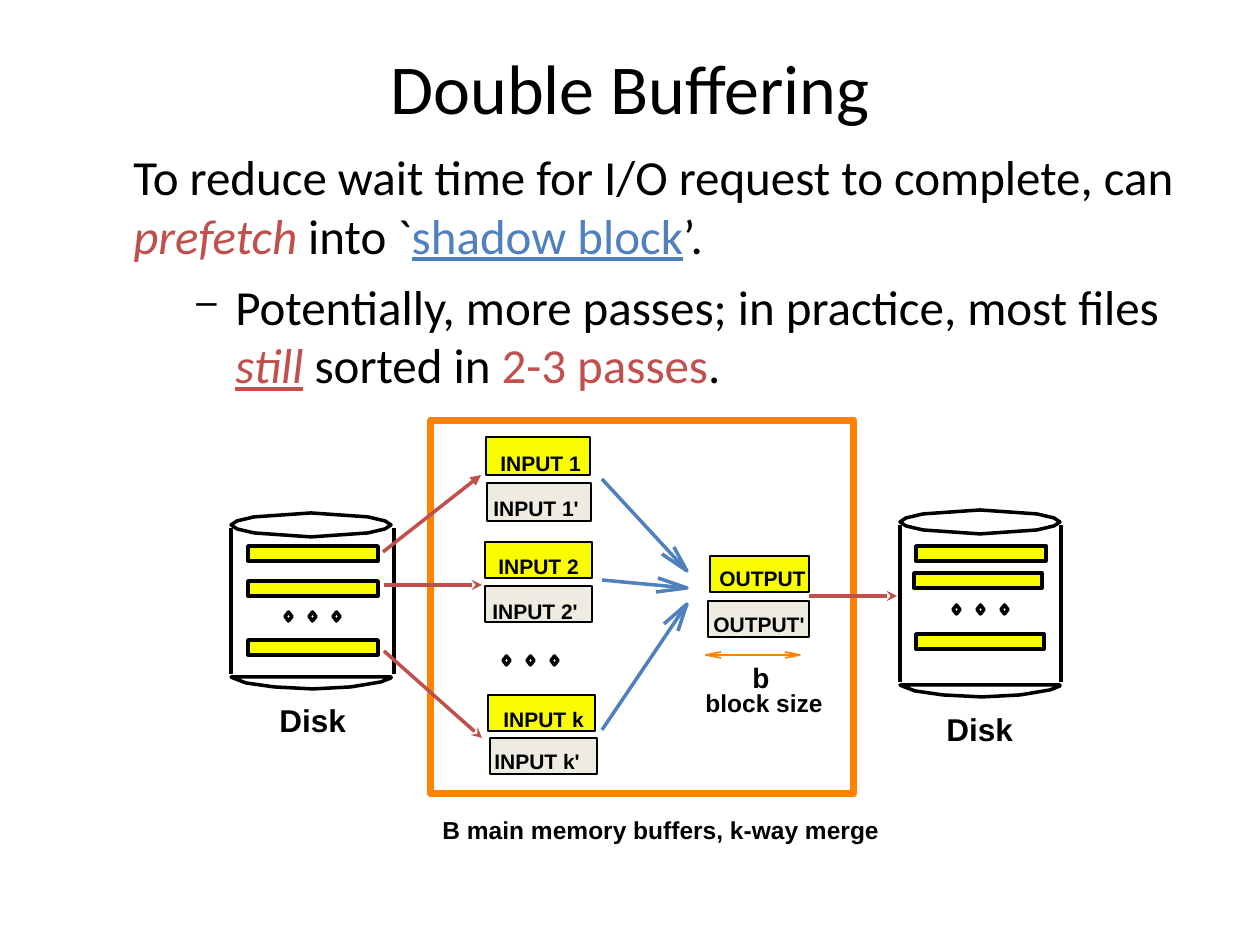
from lxml.etree import SubElement
from pptx import Presentation
from pptx.dml.color import RGBColor
from pptx.enum.shapes import MSO_CONNECTOR, MSO_SHAPE
from pptx.enum.text import MSO_ANCHOR, MSO_AUTO_SIZE, PP_ALIGN
from pptx.oxml.ns import qn
from pptx.util import Emu, Pt

PX = 914400 / 126
COLORS = {
    "black": "000000", "yellow": "FAFD00", "grey": "EEECE1",
    "orange": "FF8200", "blue": "4F81BD", "red": "C0504D",
}
BUFFERS = [
    ("INPUT 1", (486, 437, 104, 38), (488, 444, 106), "yellow"),
    ("INPUT 1'", (487, 483, 104, 38), (481, 489, 111), "grey"),
    ("INPUT 2", (485, 542, 107, 36), (486, 547, 106), "yellow"),
    ("INPUT 2'", (485, 586, 107, 36), (480, 592, 111), "grey"),
    ("INPUT k", (488, 695, 107, 36), (491, 700, 106), "yellow"),
    ("INPUT k'", (490, 738, 107, 36), (482, 742, 111), "grey"),
    ("OUTPUT", (710, 556, 99, 36), (707, 559, 111), "yellow"),
    ("OUTPUT'", (708, 601, 101, 36), (701, 605, 116), "grey"),
]
LABELS = [
    ("Disk", (267, 695, 92, 50), 18),
    ("Disk", (934, 704, 92, 50), 18),
    ("block size", (693, 682, 142, 42), 14),
    ("b", (740, 654, 42, 45), 16),
    ("B main memory buffers, k-way merge", (430, 809, 462, 42), 14),
]
MERGE_ARROWS = [
    ((602, 730), (687, 604), (664, 624), (678, 631)),
    ((602, 479), (687, 571), (674, 547), (662, 554)),
    ((602, 580), (687, 588), (658, 578), (656, 592)),
]
TRANSFERS = [
    ((383, 552), (481, 475), "triangle"),
    ((384, 585), (482, 585), "stealth"),
    ((384, 651), (482, 738), "stealth"),
    ((809, 596), (897, 596), "stealth"),
]
LID_EDGE = [(0, 12), (6, 8), (23, 4), (80, 0), (137, 4), (154, 8), (160, 12)]
LID = LID_EDGE + [(x, 24 - y) for x, y in LID_EDGE[-2:0:-1]]
BASE = [(0, 0), (2, 1), (15, 6), (43, 10), (82, 12),
        (120, 10), (150, 5), (160, 1), (160, 0)]


def px(*lengths):
    return [Emu(round(length * PX)) for length in lengths]


def rgb(name):
    return RGBColor.from_string(COLORS[name])


def style(shape, line, width, fill=None):
    shape.shadow.inherit = False
    if fill:
        shape.fill.solid()
        shape.fill.fore_color.rgb = rgb(fill)
    else:
        shape.fill.background()
    shape.line.color.rgb = rgb(line)
    shape.line.width = Pt(width)
    SubElement(shape._element.spPr.find(qn("a:ln")), qn("a:round"))


def preset(slide, kind, bounds, line, width, fill=None):
    style(slide.shapes.add_shape(kind, *px(*bounds)), line, width, fill)


def outline(slide, points, line, width, closed=True):
    corners = [px(*point) for point in points]
    builder = slide.shapes.build_freeform(*corners[0])
    builder.add_line_segments(corners[1:], close=closed)
    style(builder.convert_to_shape(), line, width)


def straight(slide, start, end, color, width, head=None):
    connector = slide.shapes.add_connector(MSO_CONNECTOR.STRAIGHT, *px(*start, *end))
    connector.line.color.rgb = rgb(color)
    connector.line.width = Pt(width)
    properties = connector._element.spPr
    if head:
        SubElement(properties.find(qn("a:ln")), qn("a:tailEnd"), type=head)
    SubElement(properties, qn("a:effectLst"))


def label(slide, text, bounds, size):
    frame = slide.shapes.add_textbox(*px(*bounds)).text_frame
    frame.word_wrap = False
    frame.auto_size = MSO_AUTO_SIZE.NONE
    frame.margin_right = 0
    caption = frame.paragraphs[0]
    caption.text = text
    caption.alignment = PP_ALIGN.LEFT
    font = caption.font
    font.name, font.size, font.bold = "Arial", Pt(size), True
    font.color.rgb = rgb("black")


def dots(slide, left, top):
    for step in range(3):
        preset(slide, MSO_SHAPE.DIAMOND, (left + 24 * step, top, 7, 9), "black", 2)


def disk(slide, left, lid_top, base_top, right, bars):
    outline(slide, [(left + x, lid_top + y) for x, y in LID], "black", 2)
    outline(slide, [(left + x, base_top + y) for x, y in BASE], "black", 2)
    for side in (left, right):
        straight(slide, (side, lid_top + 15), (side, base_top - 3), "black", 2)
    for bar_left, bar_top, width in bars:
        preset(slide, MSO_SHAPE.RECTANGLE, (bar_left, bar_top, width, 15),
               "black", 2, "yellow")


def write_title(slide):
    title = slide.shapes.title
    title.left, title.top, title.width, title.height = px(63, 38, 1134, 98)
    title.text_frame.vertical_anchor = MSO_ANCHOR.MIDDLE
    heading = title.text_frame.paragraphs[0]
    heading.text = "Double Buffering"
    heading.alignment = PP_ALIGN.CENTER
    heading.font.name, heading.font.size = "Calibri", Pt(40)
    heading.font.color.rgb = rgb("black")


def write_runs(paragraph, pieces):
    paragraph.font.name, paragraph.font.size = "Calibri", Pt(28)
    for text, color, marks in pieces:
        run = paragraph.add_run()
        run.text = text
        run.font.color.rgb = rgb(color)
        if "i" in marks:
            run.font.italic = True
        if "u" in marks:
            run.font.underline = True


def write_body(slide):
    frame = slide.shapes.add_textbox(*px(121, 140, 1071, 258)).text_frame
    frame.word_wrap = True
    write_runs(frame.paragraphs[0], [
        ("To reduce wait time for I/O request to complete, can ", "black", ""),
        ("prefetch", "red", "i"), (" into `", "black", ""),
        ("shadow block", "blue", "u"), ("’.", "black", ""),
    ])
    point = frame.add_paragraph()
    point.level = 1
    point.space_before = Pt(7)
    properties = point._p.get_or_add_pPr()
    margin, hanging = px(102, -39)
    properties.set("marL", str(margin))
    properties.set("indent", str(hanging))
    bullet_color = SubElement(properties, qn("a:buClr"))
    SubElement(bullet_color, qn("a:srgbClr"), val=COLORS["black"])
    SubElement(properties, qn("a:buSzPct"), val="75000")
    SubElement(properties, qn("a:buChar"), char="–")
    write_runs(point, [
        ("Potentially, more passes; in practice, most files ", "black", ""),
        ("still", "red", "iu"), (" sorted in ", "black", ""),
        ("2-3 passes", "red", ""), (".", "black", ""),
    ])


def main():
    deck = Presentation()
    deck.slide_width, deck.slide_height = px(1260, 945)
    slide = deck.slides.add_slide(deck.slide_layouts[5])
    write_title(slide)
    write_body(slide)

    disk(slide, 231, 513, 677, 394, [(248, y, 130) for y in (546, 581, 640)])
    disk(slide, 900, 510, 685, 1061,
         [(916, 546, 130), (914, 573, 128), (916, 634, 128)])
    for left, top in ((285, 612), (503, 656), (953, 605)):
        dots(slide, left, top)

    preset(slide, MSO_SHAPE.RECTANGLE, (431, 420, 423, 374), "orange", 4)
    for name, bounds, text_place, fill in BUFFERS:
        preset(slide, MSO_SHAPE.RECTANGLE, bounds, "black", 1, fill)
        label(slide, name, (*text_place, 38), 12)
    for text, bounds, size in LABELS:
        label(slide, text, bounds, size)

    for start, tip, barb_a, barb_b in MERGE_ARROWS:
        straight(slide, start, tip, "blue", 2)
        outline(slide, [barb_a, tip, barb_b], "blue", 2, closed=False)
    straight(slide, (706, 655), (800, 655), "orange", 1)
    for tip, barb in ((706, 721), (800, 785)):
        outline(slide, [(barb, 652), (tip, 655), (barb, 658)], "orange", 1, closed=False)
    for start, end, head in TRANSFERS:
        straight(slide, start, end, "red", 2, head)

    deck.save("out.pptx")


if __name__ == "__main__":
    main()
